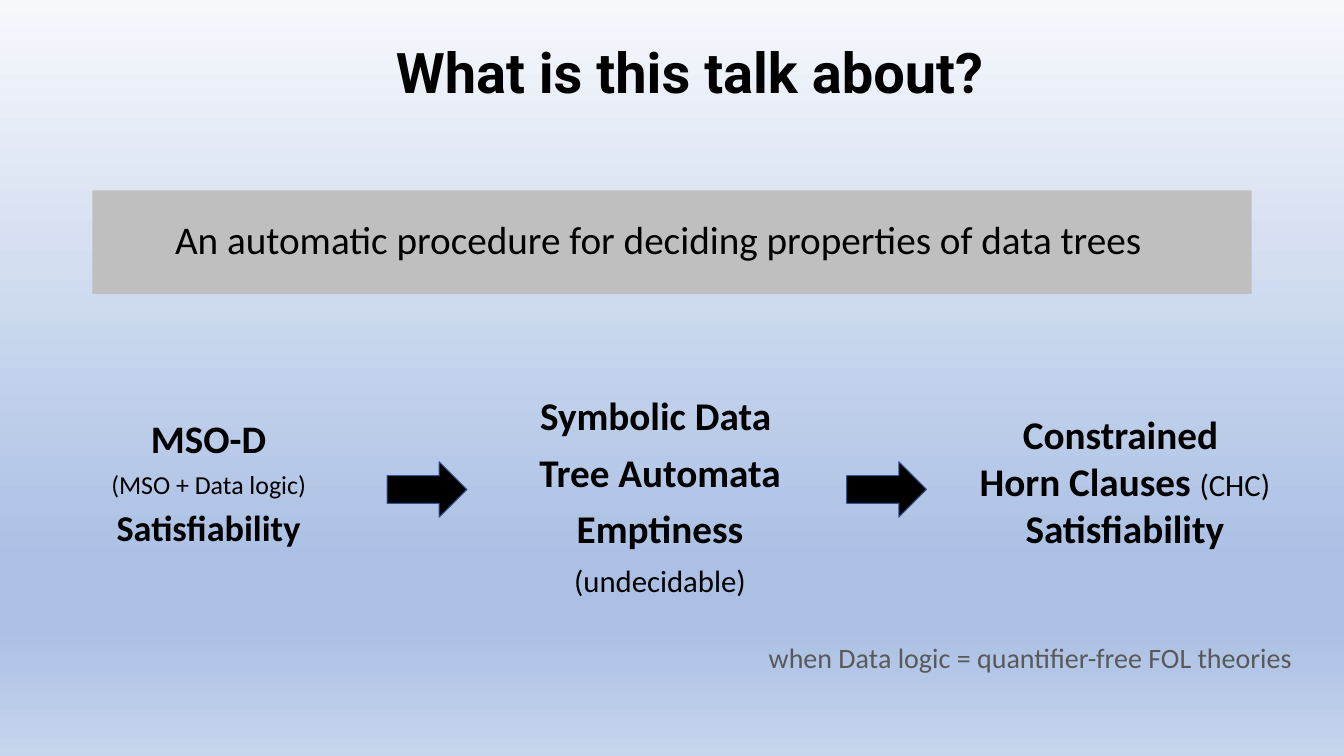
"""Build the slide that outlines the talk on data trees."""
from copy import deepcopy

from lxml import etree
from pptx import Presentation
from pptx import util as u
from pptx.dml.color import RGBColor
from pptx.enum import shapes, text
from pptx.oxml.ns import qn

BLACK = RGBColor(0x00, 0x00, 0x00)
GREY = RGBColor(0xBF, 0xBF, 0xBF)
SLATE = RGBColor(0x59, 0x59, 0x59)
NAVY = RGBColor(0x32, 0x54, 0x91)
SKY = [
    (0, RGBColor(0xF6, 0xF8, 0xFC)),
    (0.74, RGBColor(0xAB, 0xC0, 0xE4)),
    (0.83, RGBColor(0xAB, 0xC0, 0xE4)),
    (1, RGBColor(0xC7, 0xD5, 0xED)),
]
MID = text.MSO_ANCHOR.MIDDLE


def put(para, words, size=28, bold=False, color=BLACK, face="Calibri"):
    run = para.add_run()
    run.text = words
    font = run.font
    font.size, font.bold, font.name = u.Pt(size), bold, face
    font.color.rgb = color


class Deck:
    def __init__(self):
        self.prs = Presentation()
        self.prs.slide_width, self.prs.slide_height = u.Pt(960), u.Pt(540)
        self.slide = self.prs.slides.add_slide(self.prs.slide_layouts[1])

    def sky(self, stops):
        fill = self.slide.background.fill
        fill.gradient()
        fill.gradient_angle = 270
        items = self.slide.element.xpath(".//a:gsLst")[0]
        for _ in stops[2:]:
            items.append(deepcopy(items[0]))
        for stop, (place, color) in zip(fill.gradient_stops, stops):
            stop.position = place
            stop.color.rgb = color

    def move(self, shape, left, top, width, height):
        shape.left, shape.top = u.Pt(left), u.Pt(top)
        shape.width, shape.height = u.Pt(width), u.Pt(height)

    def holder(self, index, box, words, **style):
        shape = self.slide.placeholders[index]
        self.move(shape, *box)
        frame = shape.text_frame
        frame.auto_size = text.MSO_AUTO_SIZE.NONE
        frame.vertical_anchor = MID
        para = frame.paragraphs[0]
        props = para._p.get_or_add_pPr()
        props.set("marL", "0")
        props.set("indent", "0")
        etree.SubElement(props, qn("a:buNone"))
        para.alignment = text.PP_ALIGN.CENTER
        para.line_spacing = 0.9
        para.space_before = u.Pt(0)
        put(para, words, **style)
        return shape

    def label(self, box, lines, space=1.0, align=text.PP_ALIGN.CENTER, wrap=True):
        shape = self.slide.shapes.add_textbox(*map(u.Pt, box))
        frame = shape.text_frame
        frame.word_wrap = wrap
        for row, runs in enumerate(lines):
            para = frame.add_paragraph() if row else frame.paragraphs[0]
            para.alignment = align
            para.line_spacing = space
            para.space_before = u.Pt(10 if row else 0)
            for words, style in runs:
                put(para, words, **style)

    def arrow(self, left):
        box = map(u.Pt, (left, 329.8, 57, 39.6))
        shape = self.slide.shapes.add_shape(shapes.MSO_SHAPE.RIGHT_ARROW, *box)
        shape.shadow.inherit = False
        shape.fill.solid()
        shape.fill.fore_color.rgb = BLACK
        shape.line.color.rgb = NAVY
        shape.line.width = u.Pt(0)


def main():
    deck = Deck()
    deck.sky(SKY)
    deck.holder(0, (42, 1.4, 901, 104.4), "What is this talk about?",
                size=40, bold=True, face="Roboto")
    claim = deck.holder(1, (66, 136, 828, 74),
                        "An automatic procedure for deciding properties of data trees")
    claim.fill.solid()
    claim.fill.fore_color.rgb = GREY
    claim.text_frame.margin_right = u.Pt(27)

    head = {"bold": True}
    small = {"size": 22}
    deck.label((64, 299, 170, 105), [
        [("MSO-D", {"size": 27.8, "bold": True})],
        [("(MSO + Data logic)", {"size": 18.5})],
        [("Satisfiability", {"size": 25.9, "bold": True})],
    ], space=0.8)
    deck.label((369.4, 280, 204, 164), [
        [("Symbolic Data ", head)],
        [("Tree Automata", head)],
        [("Emptiness", head)],
        [("(undecidable)", small)],
    ], space=0.9)
    deck.label((648.5, 299, 310, 101), [
        [("Constrained ", head)],
        [("Horn Clauses ", head), ("(CHC)", small)],
        [("Satisfiability", head)],
    ], space=0.7)
    for left in (276.5, 604.8):
        deck.arrow(left)
    note = "when Data logic = quantifier-free FOL theories"
    deck.label((542, 454.3, 392.4, 31.7), [[(note, {"size": 20, "color": SLATE})]],
               align=text.PP_ALIGN.LEFT, wrap=False)
    deck.prs.save("out.pptx")


if __name__ == "__main__":
    main()
